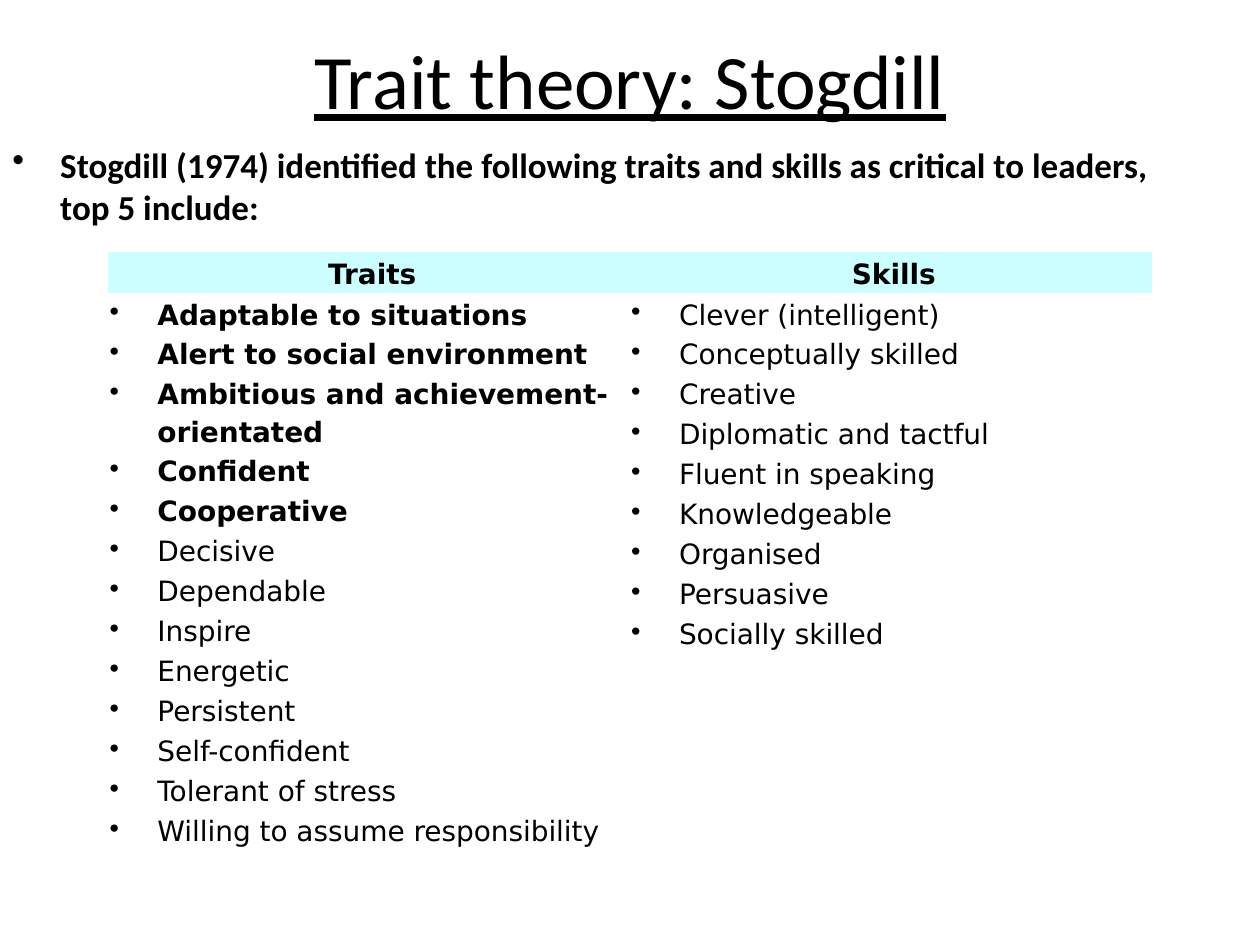
from lxml import etree
from pptx import Presentation
from pptx import util as u
from pptx.dml.color import RGBColor
from pptx.enum import text
from pptx.oxml.ns import qn

COLOURS = {"ink": "000000", "header": "CCFFFF"}
HEADING_FONT, TABLE_FONT = "Calibri", "DejaVu Sans"
PLAIN_TABLE = "{2D5ABB26-0587-4C30-8999-92F81FD0307C}"  # no style, no grid
HANG, TAB, CELL_INSET = 0.38, 0.5, 0.01

TRAITS = [
    "Adaptable to situations", "Alert to social environment",
    "Ambitious and achievement-orientated", "Confident", "Cooperative",
    "Decisive", "Dependable", "Inspire", "Energetic", "Persistent",
    "Self-confident", "Tolerant of stress", "Willing to assume responsibility",
]
SKILLS = [
    "Clever (intelligent)", "Conceptually skilled", "Creative",
    "Diplomatic and tactful", "Fluent in speaking", "Knowledgeable",
    "Organised", "Persuasive", "Socially skilled",
]
TOP_TRAITS = 5


class SlideBuilder:
    """Holds the style and the current slide; lengths are shares of its size."""

    def __init__(self, deck):
        self.width, self.height = deck.slide_width, deck.slide_height
        self.slide = deck.slides.add_slide(deck.slide_layouts[6])

    def place(self, left, top, width, height):
        return (int(left * self.width), int(top * self.height),
                int(width * self.width), int(height * self.height))

    def set_words(self, para, words, size, font, bold=False, underline=False):
        para.text = words
        para.font.size, para.font.name = u.Pt(size), font
        para.font.bold, para.font.underline = bold, underline
        para.font.color.rgb = RGBColor.from_string(COLOURS["ink"])

    def bullet(self, para, tab=None):
        props = para._p.get_or_add_pPr()
        props.set("marL", str(u.Inches(HANG)))
        props.set("indent", str(-u.Inches(HANG)))
        etree.SubElement(props, qn("a:buChar"), char="•")
        if tab:
            tabs = etree.SubElement(props, qn("a:tabLst"))
            etree.SubElement(tabs, qn("a:tab"), pos=str(u.Inches(tab)), algn="l")

    def text_box(self, area, words, size, centred=False, bulleted=False, **style):
        frame = self.slide.shapes.add_textbox(*self.place(*area)).text_frame
        frame.word_wrap = True
        para = frame.paragraphs[0]
        if centred:
            frame.vertical_anchor = text.MSO_ANCHOR.MIDDLE
            para.alignment = text.PP_ALIGN.CENTER
        if bulleted:
            self.bullet(para)
        self.set_words(para, words, size, HEADING_FONT, **style)

    def list_table(self, area, header_share, columns, size):
        """Each column is (heading, items, number of bold items)."""
        frame = self.slide.shapes.add_table(2, len(columns), *self.place(*area))
        frame.element.xpath(".//a:tableStyleId")[0].text = PLAIN_TABLE
        table = frame.table
        table.first_row = table.horz_banding = False
        table.rows[0].height = int(frame.height * header_share)
        table.rows[1].height = self.place(*area)[3] - table.rows[0].height

        for index, (heading, items, bold_count) in enumerate(columns):
            head, body = table.cell(0, index), table.cell(1, index)
            for cell in (head, body):
                cell.margin_left = cell.margin_right = u.Inches(CELL_INSET)
                cell.margin_top = cell.margin_bottom = u.Inches(CELL_INSET)

            # Heading cell
            head.fill.solid()
            head.fill.fore_color.rgb = RGBColor.from_string(COLOURS["header"])
            head.vertical_anchor = text.MSO_ANCHOR.MIDDLE
            para = head.text_frame.paragraphs[0]
            para.alignment, para.line_spacing = text.PP_ALIGN.CENTER, 1.15
            para._p.get_or_add_pPr().set("marL", str(u.Inches(0.05)))
            self.set_words(para, heading, size, TABLE_FONT, bold=True)

            # List cell
            body.fill.background()
            lines = body.text_frame
            for number, item in enumerate(items):
                para = lines.add_paragraph() if number else lines.paragraphs[0]
                self.bullet(para, TAB)
                para.line_spacing, para.space_after = 1.15, u.Pt(1.6)
                self.set_words(para, item, size, TABLE_FONT,
                               bold=number < bold_count)


def main():
    deck = Presentation()
    deck.slide_width, deck.slide_height = u.Inches(10), u.Inches(7.5)
    page = SlideBuilder(deck)

    # Title and lead-in
    page.text_box((0.05, 0, 0.9, 1 / 6), "Trait theory: Stogdill", 44,
                  centred=True, underline=True)
    page.text_box((0, 1.09 / 7.5, 0.95, 0.66),
                  "Stogdill (1974) identified the following traits and skills "
                  "as critical to leaders, top 5 include:", 20,
                  bulleted=True, bold=True)

    # Traits and skills
    page.list_table((0.086, 2 / 7.5, 0.828, 4.97 / 7.5), 0.064,
                    [("Traits", TRAITS, TOP_TRAITS), ("Skills", SKILLS, 0)], 16)

    deck.save("out.pptx")


if __name__ == "__main__":
    main()
